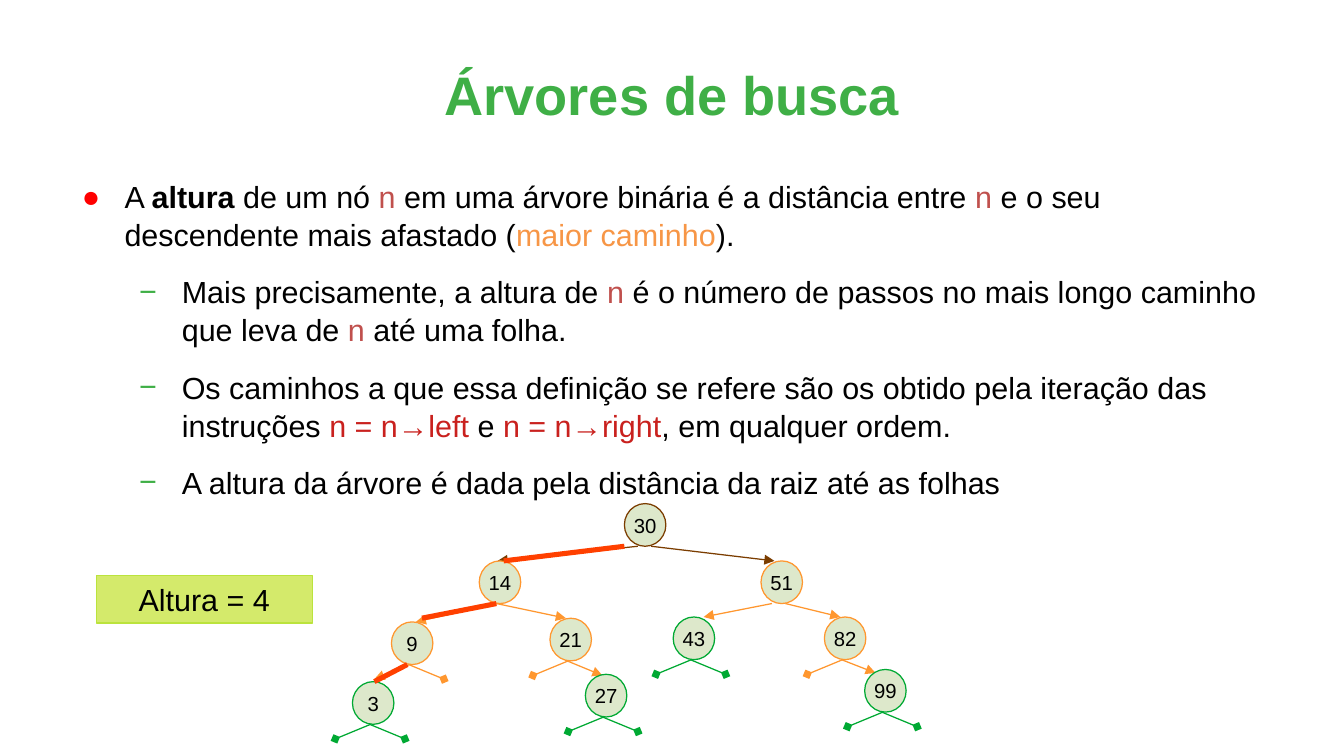
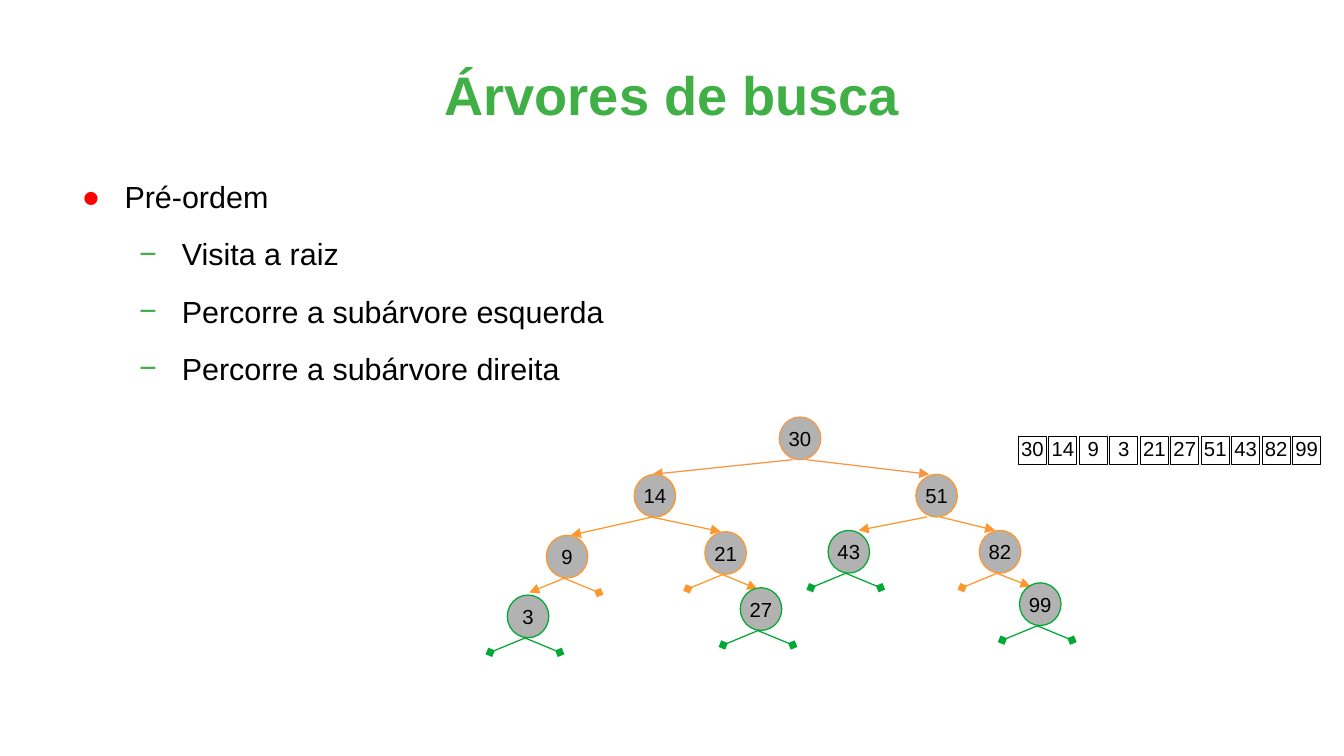
from dataclasses import dataclass
from typing import Optional

from lxml.etree import SubElement
from pptx import Presentation
from pptx.dml.color import RGBColor
from pptx.enum.shapes import MSO_CONNECTOR as LINE, MSO_SHAPE as SHAPE
from pptx.enum.text import MSO_ANCHOR as ANCHOR, PP_ALIGN as ALIGN
from pptx.oxml.ns import qn
from pptx.util import Inches, Pt

WIDTH, HEIGHT = 11.02, 6.2
MARGIN = WIDTH * 0.05
CONTENT_W = WIDTH * 0.9
FONT = "Arial"
BLACK, TITLE_GREEN, BULLET_RED = "000000", "3FAF46", "FF0000"
ROSE, AMBER, CRIMSON = "C0504D", "F79646", "C9211E"
ORANGE, LEAF_GREEN, BROWN, PATH_RED = "FF972F", "00A933", "7B3D00", "FF4000"
PALE_GREEN, GREY = "DDE8CB", "B2B2B2"
LIME, LIME_EDGE = "D4EA6B", "BBE33D"

NODE_W, NODE_H = 0.34, 0.35
STUB_W, STUB_H = 0.29, 0.12
CELL, CELL_PITCH = 0.23, 0.25
# bullet character, bullet colour, left indent, space before
LEVELS = [("●", BULLET_RED, 0.47, 0), ("−", TITLE_GREEN, 0.94, 11.3)]
HANGING = 0.35


@dataclass
class Node:
    """Tree node at x, y in the tree box.

    starts: where its two links leave it; lands: where its parent's link ends,
    both measured from the node's left edge (and top edge).
    """
    key: int
    x: float
    y: float
    lands: tuple = (0.13, 0)
    starts: tuple = (0.15, 0.14)
    left: Optional["Node"] = None
    right: Optional["Node"] = None

    def preorder(self):
        yield self
        for child in (self.left, self.right):
            if child:
                yield from child.preorder()


TREE = Node(
    30, 2.36, 0, starts=(0.11, 0.22),
    left=Node(
        14, 1.17, 0.47, lands=(0.15, 0),
        left=Node(9, 0.45, 0.97, lands=(0.2, 0),
                  left=Node(3, 0.13, 1.46, lands=(0.18, -0.02))),
        right=Node(21, 1.75, 0.94,
                   right=Node(27, 2.04, 1.4, lands=(0.14, 0.01)))),
    right=Node(
        51, 3.48, 0.47, lands=(0.11, 0), starts=(0.09, 0.2),
        left=Node(43, 2.76, 0.93, lands=(0.25, 0)),
        right=Node(82, 4, 0.93,
                   right=Node(99, 4.33, 1.36, lands=(0.09, 0.03)))))

LONGEST_PATH = [(2.36, 0.35, 1.37, 0.47), (1.31, 0.82, 0.7, 0.94),
                (0.58, 1.32, 0.31, 1.46)]

HEIGHT_TEXT = [
    (0, ["A ", ("altura", BLACK, True), " de um nó ", ("n", ROSE),
         " em uma árvore binária é a distância entre ", ("n ", ROSE),
         "e o seu descendente mais afastado (", ("maior caminho", AMBER), ")."]),
    (1, ["Mais precisamente, a altura de ", ("n", ROSE),
         " é o número de passos no mais longo caminho que leva de ",
         ("n", ROSE), " até uma folha."]),
    (1, ["Os caminhos a que essa definição se refere são os obtido pela "
         "iteração das instruções ", ("n = n→left", CRIMSON), " e ",
         ("n = n→right", CRIMSON), ", em qualquer ordem."]),
    (1, ["A altura da árvore é dada pela distância da raiz até as folhas"]),
]
PREORDER_TEXT = [(0, ["Pré-ordem"]), (1, ["Visita a raiz"]),
                 (1, ["Percorre a subárvore esquerda"]),
                 (1, ["Percorre a subárvore direita"])]


def rgb(value):
    return RGBColor.from_string(value)


def inches(*lengths):
    return [Inches(length) for length in lengths]


def set_font(r, size, color=BLACK, bold=False):
    r.font.name, r.font.size, r.font.bold = FONT, Pt(size), bold
    r.font.color.rgb = rgb(color)


def set_frame(tf, anchor=ANCHOR.TOP, inset=0):
    tf.word_wrap = True
    tf.vertical_anchor = anchor
    tf.margin_left = tf.margin_right = Inches(inset)
    tf.margin_top = tf.margin_bottom = Inches(inset / 2)


def add_label(shapes, kind, box, text, size, fill, edge,
              anchor=ANCHOR.MIDDLE, inset=0):
    """Outlined shape with one centred line of text; fill None is hollow."""
    sp = shapes.add_shape(kind, *inches(*box))
    sp.shadow.inherit = False
    if fill:
        sp.fill.solid()
        sp.fill.fore_color.rgb = rgb(fill)
    else:
        sp.fill.background()
    sp.line.color.rgb = rgb(edge)
    sp.line.width = Pt(0.75)
    set_frame(sp.text_frame, anchor, inset)
    p = sp.text_frame.paragraphs[0]
    p.text, p.alignment = text, ALIGN.CENTER
    set_font(p.runs[0], size)


def add_line(shapes, ends, color, width=0.75, tip=None):
    line = shapes.add_connector(LINE.STRAIGHT, *inches(*ends))
    line.line.color.rgb = rgb(color)
    line.line.width = Pt(width)
    if tip:
        SubElement(line.line._get_or_add_ln(), qn("a:tailEnd"), type=tip)
    SubElement(line._element.spPr, qn("a:effectLst"))


def add_title_slide(prs, title):
    s = prs.slides.add_slide(prs.slide_layouts[5])
    sp = s.shapes.title
    sp.left, sp.top, sp.width, sp.height = inches(MARGIN, 0.25, CONTENT_W, 1.04)
    set_frame(sp.text_frame, ANCHOR.MIDDLE)
    p = sp.text_frame.paragraphs[0]
    p.text, p.alignment = title, ALIGN.CENTER
    set_font(p.runs[0], 32, TITLE_GREEN, True)
    return s


def add_bullets(s, items, height):
    """Body text; a part is a plain string or (text, colour[, bold])."""
    box = s.shapes.add_textbox(*inches(MARGIN, 1.45, CONTENT_W, height))
    tf = box.text_frame
    set_frame(tf)
    for i, (level, parts) in enumerate(items):
        p = tf.paragraphs[0] if i == 0 else tf.add_paragraph()
        char, color, indent, before = LEVELS[level]
        p.level, p.space_before, p.line_spacing = level, Pt(before), 1.04
        pPr = p._p.get_or_add_pPr()
        pPr.set("marL", str(Inches(indent)))
        pPr.set("indent", str(-Inches(HANGING)))
        SubElement(SubElement(pPr, qn("a:buClr")), qn("a:srgbClr"), val=color)
        SubElement(pPr, qn("a:buFont"), typeface=FONT)
        SubElement(pPr, qn("a:buChar"), char=char)
        for part in parts:
            text, *style = (part,) if isinstance(part, str) else part
            r = p.add_run()
            r.text = text
            set_font(r, 18, *style)


def add_tree(s, left, top, fill, root_color):
    """Search tree in a group; missing children end in diamonds."""
    shapes = s.shapes.add_group_shape().shapes
    for node in TREE.preorder():
        is_leaf = not (node.left or node.right)
        color = (root_color if node is TREE
                 else LEAF_GREEN if is_leaf else ORANGE)
        x, y = left + node.x, top + node.y
        add_label(shapes, SHAPE.OVAL, (x, y, NODE_W, NODE_H),
                  str(node.key), 12, fill, color)
        for child, start, side in zip((node.left, node.right),
                                      node.starts, (-1, 1)):
            x1, y1 = x + start, y + NODE_H
            if child:
                x2 = left + child.x + child.lands[0]
                y2 = top + child.y + child.lands[1]
            else:
                x2, y2 = x1 + side * STUB_W, y1 + STUB_H
            add_line(shapes, (x1, y1, x2, y2), color,
                     tip="triangle" if child else "diamond")


def add_path(s, left, top):
    for x1, y1, x2, y2 in LONGEST_PATH:
        add_line(s.shapes, (left + x1, top + y1, left + x2, top + y2),
                 PATH_RED, 3)


def add_visit_order(s, left, top):
    for i, node in enumerate(TREE.preorder()):
        add_label(s.shapes, SHAPE.RECTANGLE,
                  (left + i * CELL_PITCH, top, CELL, CELL),
                  str(node.key), 12, None, BLACK, ANCHOR.TOP)


def add_height_slide(prs):
    s = add_title_slide(prs, "Árvores de busca")
    add_bullets(s, HEIGHT_TEXT, 4.3)
    origin = (2.76, 4.13)
    add_tree(s, *origin, PALE_GREEN, BROWN)
    add_path(s, *origin)
    add_label(s.shapes, SHAPE.RECTANGLE, (0.79, 4.72, 1.77, 0.39),
              "Altura = 4", 18, LIME, LIME_EDGE, inset=0.1)


def add_preorder_slide(prs):
    s = add_title_slide(prs, "Árvores de busca")
    add_bullets(s, PREORDER_TEXT, 1.67)
    add_tree(s, 4.03, 3.42, GREY, AMBER)
    add_visit_order(s, 8.35, 3.58)


def main():
    prs = Presentation()
    prs.slide_width, prs.slide_height = inches(WIDTH, HEIGHT)
    add_height_slide(prs)
    add_preorder_slide(prs)
    prs.save("out.pptx")


if __name__ == "__main__":
    main()
